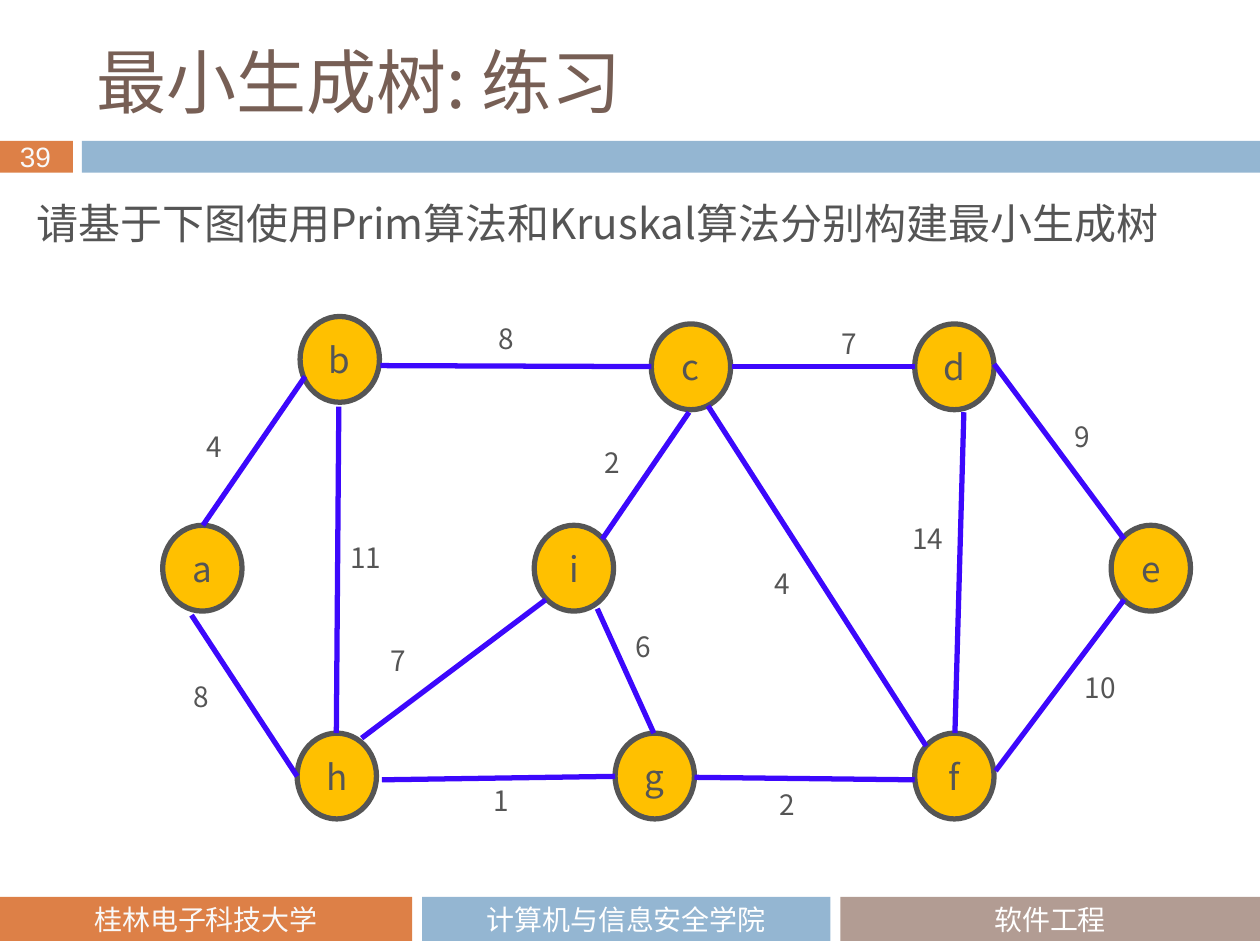
from pptx import Presentation
from pptx.dml.color import RGBColor
from pptx.enum.shapes import MSO_CONNECTOR, MSO_SHAPE
from pptx.enum.text import MSO_ANCHOR, PP_ALIGN
from pptx.oxml.ns import qn
from pptx.util import Cm, Pt
from lxml.etree import SubElement

COLORS = {
    "orange": "DD8047", "blue": "94B6D2", "taupe": "B29C93",
    "title": "775F55", "text": "555555", "node": "FFC000",
    "edge": "3C08FC", "white": "FFFFFF", "off_white": "F9F9F9",
}
BODY_FONT = "Noto Sans CJK SC"
NODE_WIDTH, NODE_HEIGHT = 1.6, 1.73
LABEL_HEIGHT = 0.94


class SlideBuilder:
    def __init__(self, page):
        self.page = page

    def color(self, name):
        return RGBColor.from_string(COLORS[name])

    def fill_text(self, shape, text, size, color="text", font=BODY_FONT,
                  align=PP_ALIGN.LEFT, anchor=MSO_ANCHOR.MIDDLE, wrap=True):
        frame = shape.text_frame
        frame.word_wrap = wrap
        frame.vertical_anchor = anchor
        para = frame.paragraphs[0]
        para.alignment = align
        span = para.add_run()
        span.text = text
        span.font.size = Pt(size)
        span.font.name = font
        span.font.color.rgb = self.color(color)
        east_asian = SubElement(span.font._element, qn("a:ea"))
        east_asian.set("typeface", BODY_FONT if font == "Calibri" else font)

    def title(self, text, left, top, width, height):
        title = self.page.shapes.title
        title.left, title.top = Cm(left), Cm(top)
        title.width, title.height = Cm(width), Cm(height)
        self.fill_text(title, text, 40, "title", "Noto Sans CJK JP")

    def shape(self, kind, left, top, width, height, fill):
        shape = self.page.shapes.add_shape(
            kind, Cm(left), Cm(top), Cm(width), Cm(height))
        shape.shadow.inherit = False
        shape.fill.solid()
        shape.fill.fore_color.rgb = self.color(fill)
        shape.line.fill.background()
        return shape

    def bar(self, left, top, width, height, fill):
        return self.shape(MSO_SHAPE.RECTANGLE, left, top, width, height, fill)

    def text(self, text, left, top, width, height, size, **style):
        box = self.page.shapes.add_textbox(
            Cm(left), Cm(top), Cm(width), Cm(height))
        self.fill_text(box, text, size, **style)

    def node(self, name, left, top):
        node = self.shape(MSO_SHAPE.OVAL, left, top,
                          NODE_WIDTH, NODE_HEIGHT, "node")
        node.line.color.rgb = self.color("text")
        node.line.width = Pt(3)
        self.fill_text(node, name, 20, align=PP_ALIGN.CENTER, wrap=False)

    def edge(self, start, end):
        line = self.page.shapes.add_connector(
            MSO_CONNECTOR.STRAIGHT, *[Cm(value) for value in start + end])
        line.line.color.rgb = self.color("edge")
        line.line.width = Pt(3)
        SubElement(line._element.spPr, qn("a:effectLst"))

    def weight(self, value, left, top):
        width = 0.86 if value < 10 else 1.22
        self.text(str(value), left, top, width, LABEL_HEIGHT, 16, wrap=False)


# Graph: node positions, then edges as start, end, weight, label position
UPPER, MIDDLE, LOWER = 6.53, 10.59, 14.78
NODES = {
    "a": (3.28, MIDDLE), "h": (5.99, LOWER), "i": (10.77, MIDDLE),
    "e": (22.4, MIDDLE), "f": (18.44, LOWER), "g": (12.4, LOWER),
    "b": (6.05, 6.38), "c": (13.13, UPPER), "d": (18.44, UPPER),
}
EDGES = [
    ((6.78, 14.78), (6.83, 8.2), 11, (6.81, 10.77)),
    ((7.67, 7.37), (13.13, 7.39), 8, (9.8, 6.35)),
    ((12.14, 10.87), (13.89, 8.31), 2, (11.94, 8.86)),
    ((14.76, 7.39), (18.44, 7.39), 7, (16.71, 6.45)),
    ((7.29, 14.88), (11, 12.09), 7, (7.62, 12.85)),
    ((3.86, 12.4), (5.99, 15.65), 8, (3.66, 13.56)),
    ((4.09, 10.59), (6.15, 7.59), 4, (3.91, 8.53)),
    ((20.07, 15.54), (22.66, 12.09), 10, (21.62, 13.39)),
    ((20.04, 7.34), (22.66, 10.87), 9, (21.41, 8.33)),
    ((14.27, 8.18), (18.67, 15.04), 4, (15.37, 11.28)),
    ((19.25, 14.78), (19.43, 8.31), 14, (18.14, 10.39)),
    ((14, 15.67), (18.44, 15.72), 2, (15.47, 15.75)),
    ((13.18, 14.78), (12.04, 12.27), 6, (12.57, 12.55)),
    ((7.7, 15.72), (12.4, 15.65), 1, (9.7, 15.67)),
]
# Footer: text, left, width, fill, text colour
FOOTER = [
    ("桂林电子科技大学", 0, 8.31, "orange", "off_white"),
    ("计算机与信息安全学院", 8.51, 8.23, "blue", "white"),
    ("软件工程", 16.94, 8.46, "taupe", "white"),
]


def main():
    deck = Presentation()
    deck.slide_width, deck.slide_height = Cm(25.4), Cm(19.05)
    builder = SlideBuilder(deck.slides.add_slide(deck.slide_layouts[5]))

    # Header
    builder.title("最小生成树: 练习", 1.7, 0.64, 22.66, 1.98)
    builder.bar(0, 2.84, 1.47, 0.64, "orange")
    builder.bar(1.65, 2.84, 23.75, 0.64, "blue")
    builder.text("39", 0.15, 2.69, 1.22, 0.94, 16, color="off_white",
                 font="Arial", wrap=False)

    # Footer
    for text, left, width, fill, color in FOOTER:
        bar = builder.bar(left, 18.08, width, 0.89, fill)
        builder.fill_text(bar, text, 16, color, "Calibri", PP_ALIGN.CENTER)

    # Graph
    for name, position in NODES.items():
        builder.node(name, *position)
    for start, end, value, position in EDGES:
        builder.edge(start, end)
        builder.weight(value, *position)

    # Task
    builder.text("请基于下图使用Prim算法和Kruskal算法分别构建最小生成树",
                 0.48, 3.86, 23.72, 1.27, 24, anchor=MSO_ANCHOR.TOP)

    deck.save("out.pptx")


if __name__ == "__main__":
    main()
